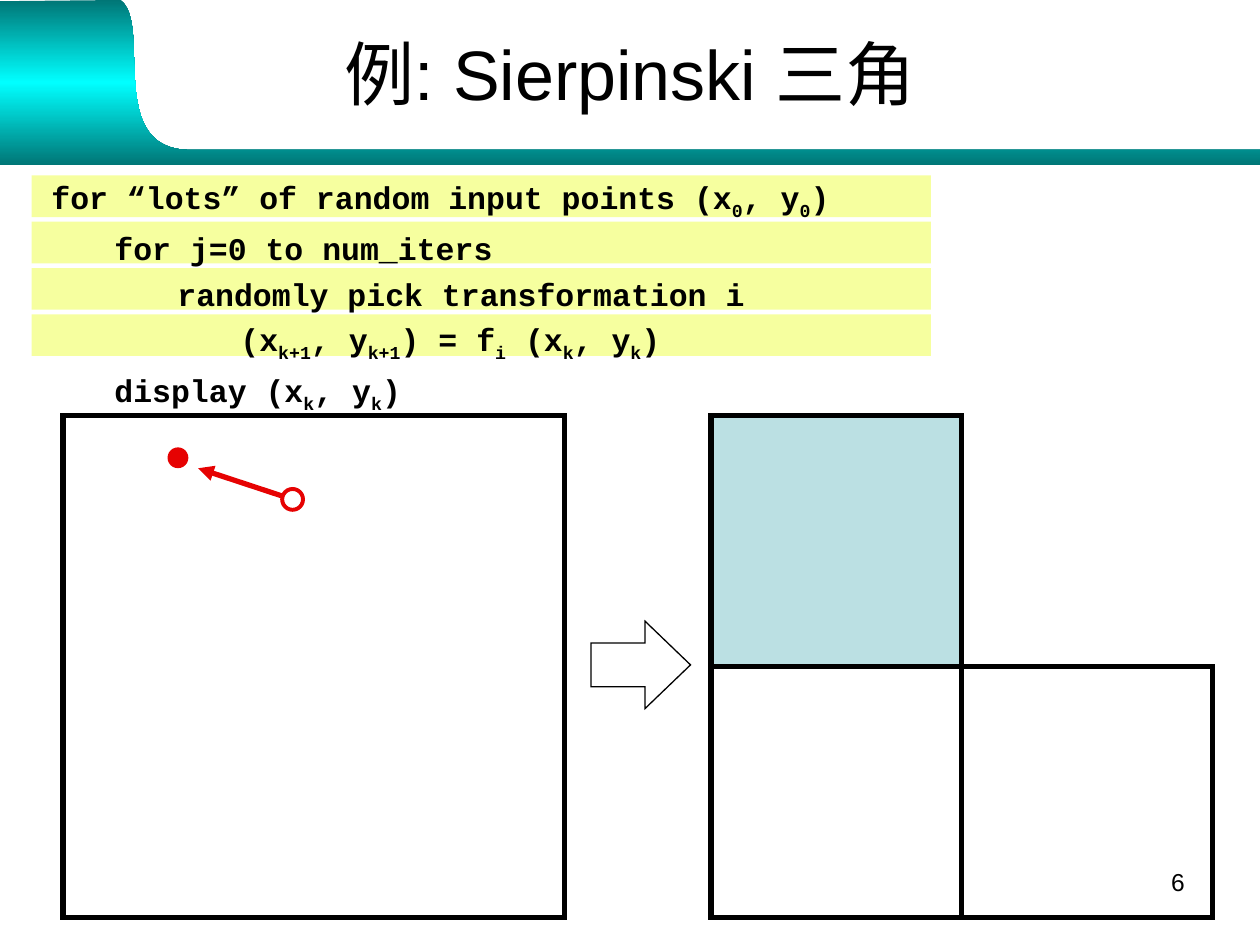
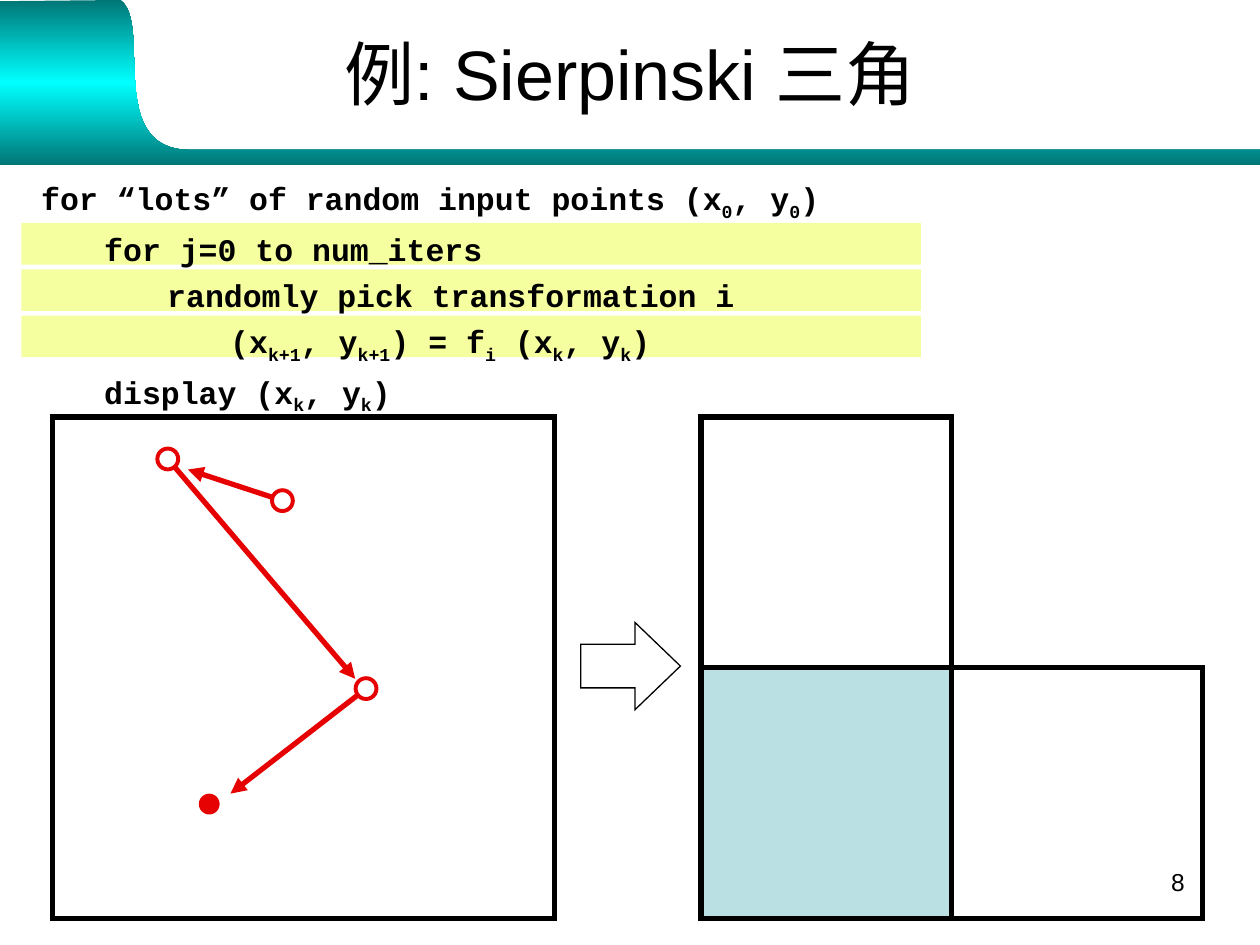
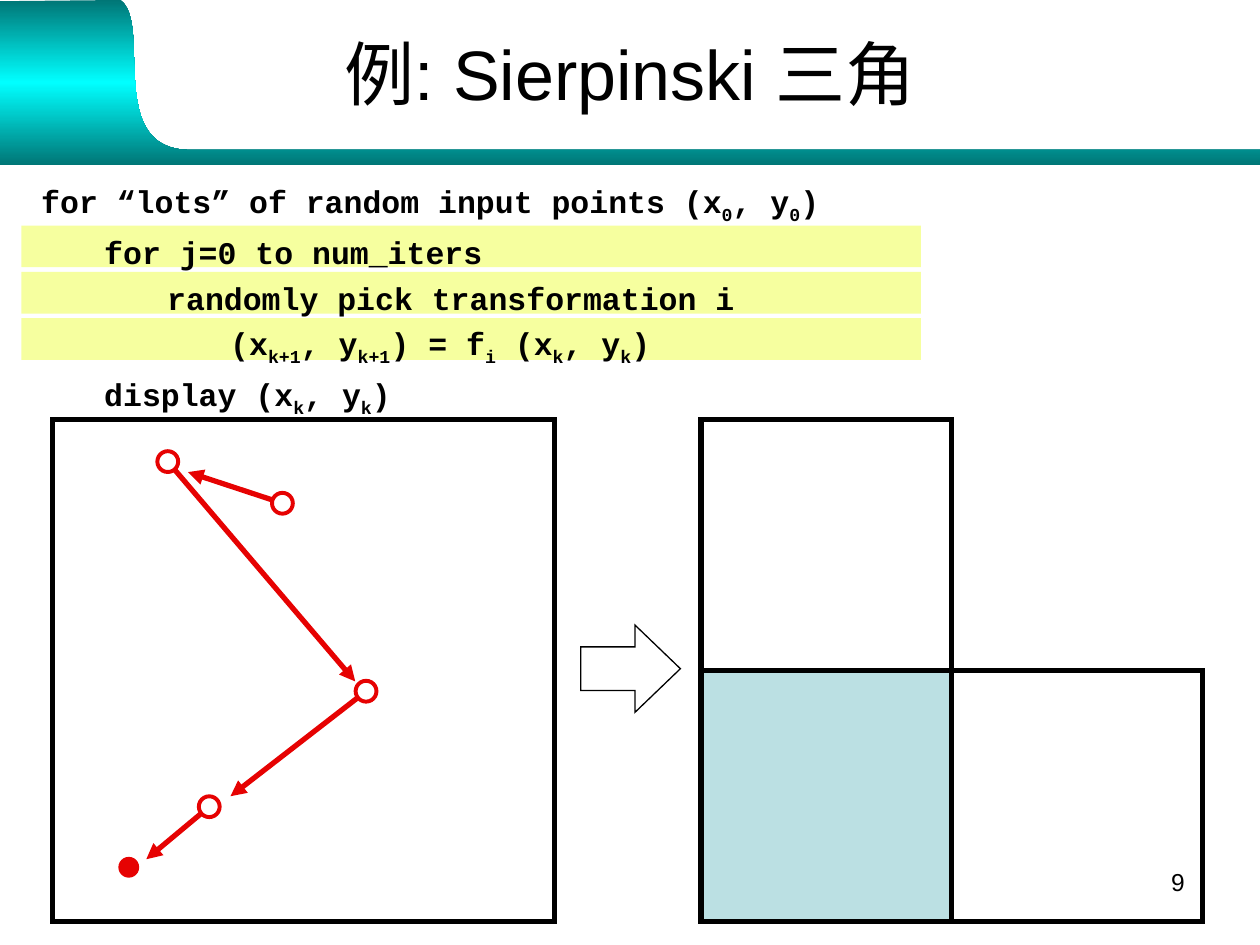
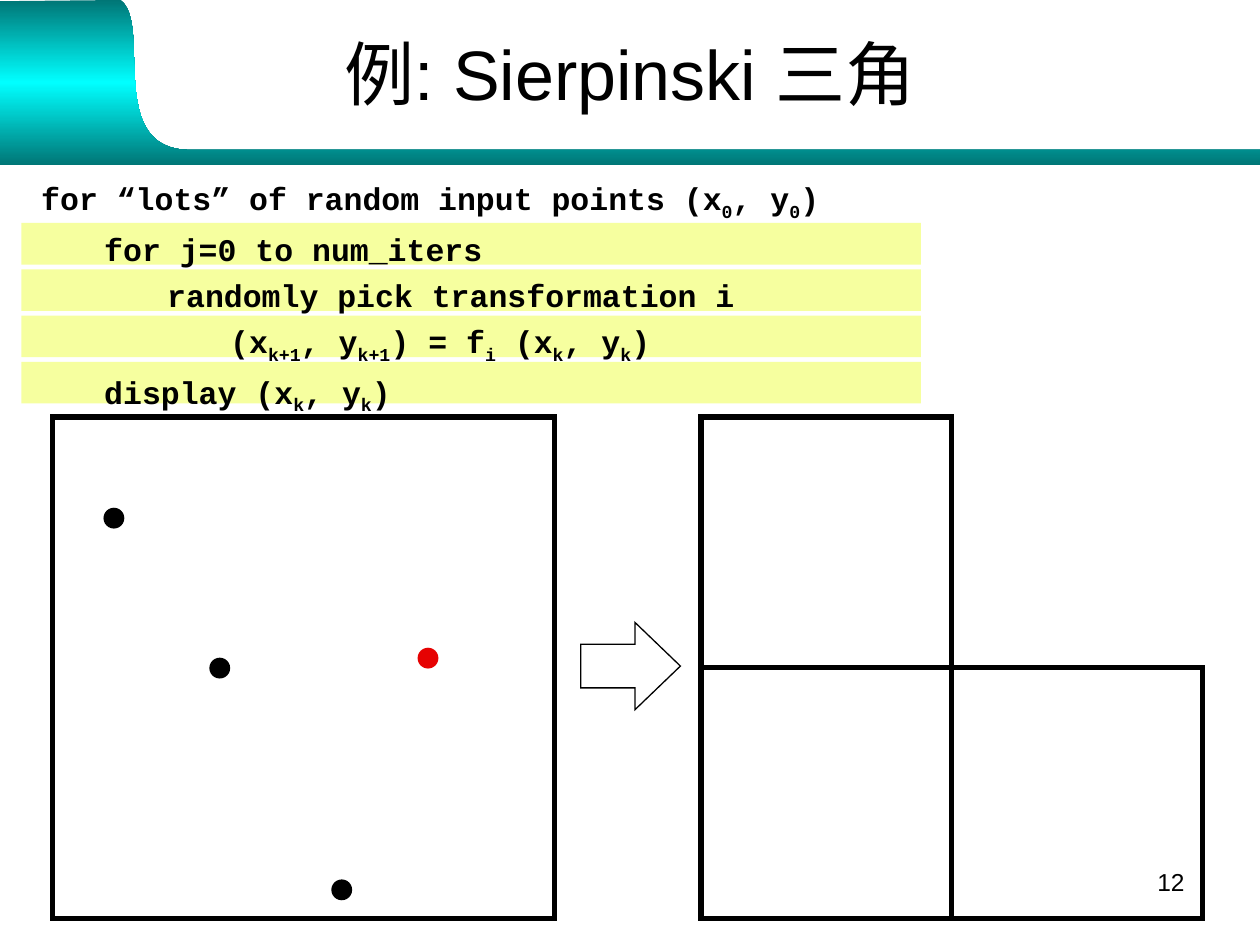
import copy

import pptx
import pptx.dml.color
import pptx.enum.shapes
import pptx.enum.text
import pptx.oxml
import pptx.oxml.ns
import pptx.util

Pt = pptx.util.Pt
SHAPES = pptx.enum.shapes.MSO_SHAPE
ALIGN = pptx.enum.text.PP_ALIGN
NAMESPACE = pptx.oxml.ns.nsdecls("a")

COLORS = {
    "black": "000000",
    "white": "FFFFFF",
    "red": "E60202",
    "highlight": "F6FF9F",
    "quadrant": "BBE0E3",
    "teal": "007676",
    "cyan": "00FFFF",
}

# Indent level and text; every second piece between bars is a subscript.
CODE_LINES = [
    (0, "for “lots” of random input points (x|0|, y|0|)"),
    (1, "for j=0 to num_iters"),
    (2, "randomly pick transformation i"),
    (3, "(x|k+1|, y|k+1|) = f|i| (x|k|, y|k|)"),
    (1, "display (x|k|, y|k|)"),
]

# Everything below is measured from the top left corner of the large square.
SQUARE = 286.6
HALF = SQUARE / 2
QUADRANTS_LEFT = 370.3
QUADRANTS = {
    "lower left": (QUADRANTS_LEFT, HALF),
    "lower right": (QUADRANTS_LEFT + HALF, HALF),
    "upper left": (QUADRANTS_LEFT, 0),
}
DOT = 11.9
ORBIT = [(131.2, 47.8), (65.7, 24), (179, 155.2), (89.4, 221.2), (43.4, 255.8)]
ARROW_TIPS = [(77.2, 30), (172.8, 149.6), (101.5, 215.2), (53.4, 251.2)]
DISPLAYED_DOTS = [(34.9, 57.8), (95.4, 143.5), (165.1, 270.2)]
LAST_DISPLAYED_DOT = (214.4, 137.8)

PAGES = [
    {"number": 6, "origin": (36, 237.6), "lines": range(0, 4),
     "quadrant": "upper left", "visited": 2},
    {"number": 8, "origin": (30.2, 238.3), "lines": range(1, 4),
     "quadrant": "lower left", "visited": 4},
    {"number": 9, "origin": (30.2, 239.8), "lines": range(1, 4),
     "quadrant": "lower left", "visited": 5},
    {"number": 12, "origin": (30.2, 238.3), "lines": range(1, 5),
     "quadrant": None, "visited": 0},
]


def rgb(name):
    return pptx.dml.color.RGBColor.from_string(COLORS[name])


def add_figure(slide, kind, left, top, width, height, fill=None, line=None, line_width=3):
    """Add a preset shape; without a fill or line colour that part stays empty."""
    shape = slide.shapes.add_shape(kind, Pt(left), Pt(top), Pt(width), Pt(height))
    shape.shadow.inherit = False
    if fill:
        shape.fill.solid()
        shape.fill.fore_color.rgb = rgb(fill)
    else:
        shape.fill.background()
    if line:
        shape.line.color.rgb = rgb(line)
        shape.line.width = Pt(line_width)
        shape.line._get_or_add_ln().append(
            pptx.oxml.parse_xml(f'<a:miter {NAMESPACE} lim="800000"/>'))
    else:
        shape.line.fill.background()
    return shape


presentation = pptx.Presentation()
presentation.slide_width, presentation.slide_height = Pt(720), Pt(540)
layout = presentation.slide_layouts.get_by_name("Title Only")
slides = [presentation.slides.add_slide(layout) for page in PAGES]

# The curved header band is drawn once and moved to the shared layout.
curve = [(69.1, 0), (87.1, 14.4), (59.8, 85.7), (108.7, 85.7)]
steps = 24
outline = [(0, 94.3), (0, 0.7)]
for step in range(steps + 1):
    t = step / steps
    weights = [(1 - t) ** 3, 3 * t * (1 - t) ** 2, 3 * t ** 2 * (1 - t), t ** 3]
    outline.append(tuple(
        sum(weight * point[axis] for weight, point in zip(weights, curve))
        for axis in range(2)))
outline.append((720, 85.7))
builder = slides[0].shapes.build_freeform(Pt(720), Pt(94.3))
builder.add_line_segments([(Pt(x), Pt(y)) for x, y in outline])
band = builder.convert_to_shape()
band.shadow.inherit = False
band.line.fill.background()
band.fill.gradient()
band.fill.gradient_angle = 90
stop_list = band.element.find(".//" + pptx.oxml.ns.qn("a:gsLst"))
stop_list.append(copy.deepcopy(stop_list[1]))
for stop, position, color in zip(
        band.fill.gradient_stops, (0, 0.5, 1), ("teal", "cyan", "teal")):
    stop.position = position
    stop.color.rgb = rgb(color)
band.element.nvSpPr.cNvPr.set("id", "20")
layout.shapes.element.insert(2, band.element)

for slide, page in zip(slides, PAGES):
    left, top = page["origin"]

    title = slide.shapes.title
    title.left, title.top, title.width, title.height = Pt(36), Pt(0), Pt(648), Pt(82.8)
    title.text_frame.text = "例: Sierpinski 三角"
    title.text_frame.auto_size = pptx.enum.text.MSO_AUTO_SIZE.NONE
    title.text_frame.vertical_anchor = pptx.enum.text.MSO_ANCHOR.MIDDLE
    paragraph = title.text_frame.paragraphs[0]
    paragraph.alignment = ALIGN.CENTER
    paragraph.font.name = "Arial"
    paragraph.font.size = Pt(40)
    paragraph.font.color.rgb = rgb("black")

    number_box = slide.shapes.add_textbox(Pt(516), Pt(492), Pt(168), Pt(37.4))
    number_box.text_frame.word_wrap = True
    number_box.text_frame.text = str(page["number"])
    paragraph = number_box.text_frame.paragraphs[0]
    paragraph.alignment = ALIGN.RIGHT
    paragraph.font.name = "Arial"
    paragraph.font.size = Pt(14)
    paragraph.font.color.rgb = rgb("black")

    for line_index in page["lines"]:
        add_figure(slide, SHAPES.RECTANGLE, left - 18, top - 137.3 + 26.45 * line_index,
                   514, 23.8, fill="highlight")

    if page["quadrant"]:
        x, y = QUADRANTS[page["quadrant"]]
        add_figure(slide, SHAPES.RECTANGLE, left + x, top + y, HALF, HALF, fill="quadrant")
    for x, y in QUADRANTS.values():
        add_figure(slide, SHAPES.RECTANGLE, left + x, top + y, HALF, HALF, line="black")
    add_figure(slide, SHAPES.RECTANGLE, left, top, SQUARE, SQUARE, line="black")
    block_arrow = add_figure(slide, SHAPES.RIGHT_ARROW, left + 301.7, top + 117.4,
                             56.9, 49.9, line="black", line_width=0.75)
    block_arrow.adjustments[0] = 0.5
    block_arrow.adjustments[1] = 0.52

    visited = ORBIT[:page["visited"]]
    for start, tip in zip(visited[:-1], ARROW_TIPS):
        hop = slide.shapes.add_connector(
            pptx.enum.shapes.MSO_CONNECTOR.STRAIGHT,
            Pt(left + start[0]), Pt(top + start[1]), Pt(left + tip[0]), Pt(top + tip[1]))
        hop.line.color.rgb = rgb("red")
        hop.line.width = Pt(3)
        line_element = hop.line._get_or_add_ln()
        line_element.append(
            pptx.oxml.parse_xml(f'<a:tailEnd {NAMESPACE} type="triangle"/>'))
        line_element.addnext(pptx.oxml.parse_xml(f"<a:effectLst {NAMESPACE}/>"))

    if visited:
        dots = [(point, "white", "red") for point in visited[:-1]]
        dots.append((visited[-1], "red", None))
    else:
        dots = [(point, "black", None) for point in DISPLAYED_DOTS]
        dots.append((LAST_DISPLAYED_DOT, "red", None))
    for (x, y), fill, line in dots:
        add_figure(slide, SHAPES.OVAL, left + x - DOT / 2, top + y - DOT / 2, DOT, DOT,
                   fill=fill, line=line, line_width=2.25)

    code_box = slide.shapes.add_textbox(
        Pt(left - 13.7), Pt(top - 139.3), Pt(491.8), Pt(142.6))
    frame = code_box.text_frame
    frame.word_wrap = True
    frame.auto_size = pptx.enum.text.MSO_AUTO_SIZE.SHAPE_TO_FIT_TEXT
    for line_index, (level, code) in enumerate(CODE_LINES):
        paragraph = frame.add_paragraph() if line_index else frame.paragraphs[0]
        paragraph.level = level
        properties = paragraph._p.get_or_add_pPr()
        properties.set("marL", str(Pt(36 * level)))
        properties.set("indent", "0")
        if line_index:
            paragraph.space_before = Pt(4.5)
        for piece_index, piece in enumerate(code.split("|")):
            run = paragraph.add_run()
            run.text = piece
            if piece_index % 2:
                run._r.get_or_add_rPr().set("baseline", "-25000")
        paragraph.font.name = "Courier New"
        paragraph.font.size = Pt(18)
        paragraph.font.bold = True
        paragraph.font.color.rgb = rgb("black")

presentation.save("out.pptx")
